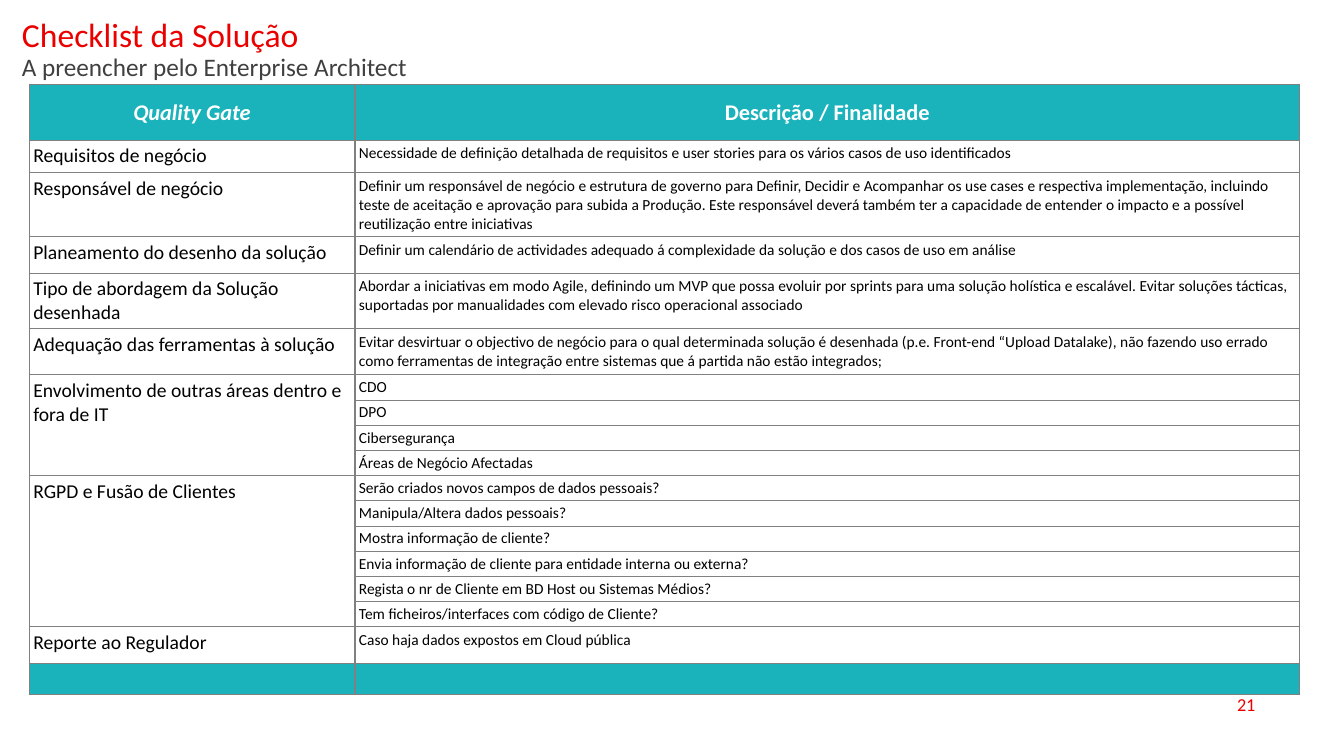
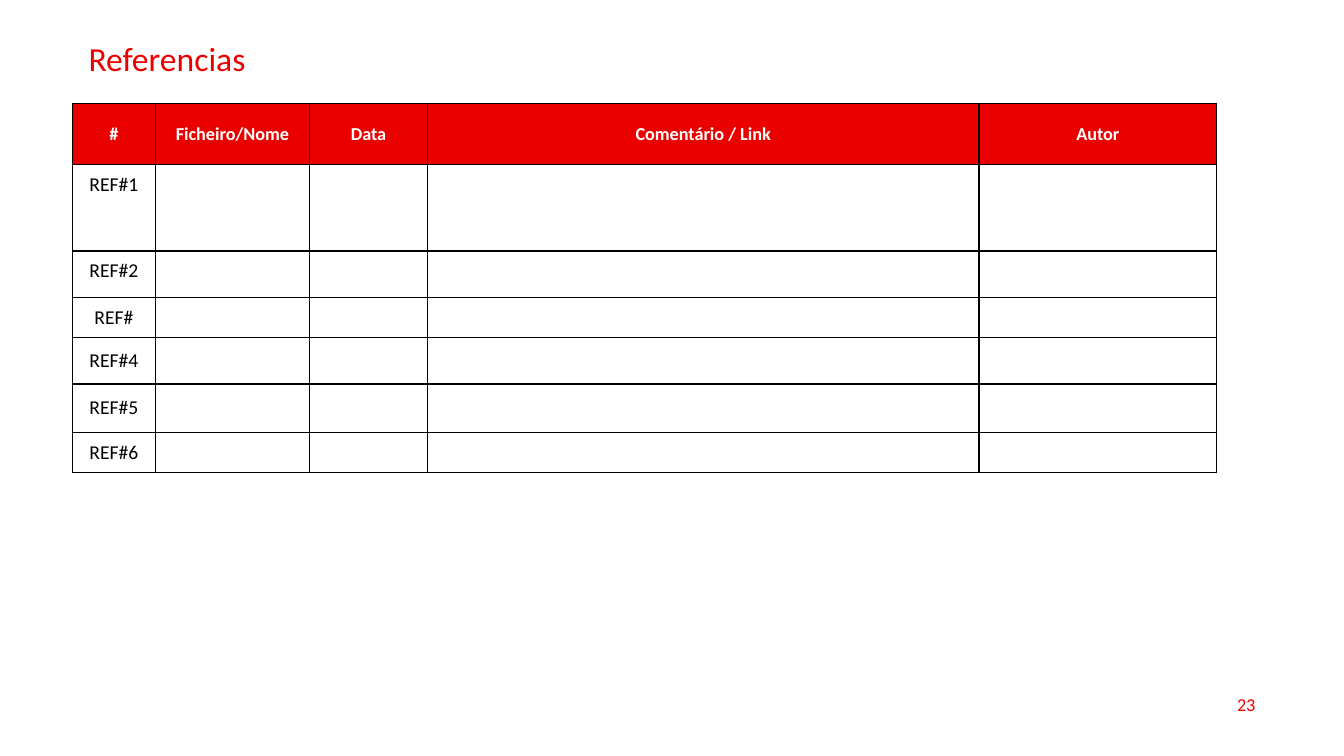
from lxml.etree import SubElement
from pptx import Presentation
from pptx.dml.color import RGBColor
from pptx.enum.text import MSO_ANCHOR as Anchor, PP_ALIGN as Align
from pptx.oxml.ns import qn
from pptx.util import Inches, Pt

FONT = "Calibri"
RED, TEAL, GREY = "EB0000", "1AB2BB", "808080"
DARK, BLACK, WHITE = "404040", "000000", "FFFFFF"

# Each gate: name, descriptions, height of each description row
GATES = [
    ("Requisitos de negócio",
     ["Necessidade de definição detalhada de requisitos e user stories para os "
      "vários casos de uso identificados"], 0.32),
    ("Responsável de negócio",
     ["Definir um responsável de negócio e estrutura de governo para Definir, "
      "Decidir e Acompanhar os use cases e respectiva implementação, incluindo "
      "teste de aceitação e aprovação para subida a Produção. Este responsável "
      "deverá também ter a capacidade de entender o impacto e a possível "
      "reutilização entre iniciativas"], 0.64),
    ("Planeamento do desenho da solução",
     ["Definir um calendário de actividades adequado á complexidade da solução "
      "e dos casos de uso em análise"], 0.36),
    ("Tipo de abordagem da Solução desenhada",
     ["Abordar a iniciativas em modo Agile, definindo um MVP que possa evoluir "
      "por sprints para uma solução holística e escalável. Evitar soluções "
      "tácticas, suportadas por manualidades com elevado risco operacional "
      "associado"], 0.55),
    ("Adequação das ferramentas à solução",
     ["Evitar desvirtuar o objectivo de negócio para o qual determinada solução "
      "é desenhada (p.e. Front-end “Upload Datalake), não fazendo uso errado "
      "como ferramentas de integração entre sistemas que á partida não estão "
      "integrados;"], 0.46),
    ("Envolvimento de outras áreas dentro e fora de IT",
     ["CDO", "DPO", "Cibersegurança", "Áreas de Negócio Afectadas"], 0.25),
    ("RGPD e Fusão de Clientes",
     ["Serão criados novos campos de dados pessoais?",
      "Manipula/Altera dados pessoais?",
      "Mostra informação de cliente?",
      "Envia informação de cliente para entidade interna ou externa?",
      "Regista o nr de Cliente em BD Host ou Sistemas Médios?",
      "Tem ficheiros/interfaces com código de Cliente?"], 0.25),
    ("Reporte ao Regulador", ["Caso haja dados expostos em Cloud pública"], 0.36),
]
REFERENCE_HEADS = ["#", "Ficheiro/Nome", "Data", "Comentário / Link", "Autor"]
# Each reference: label, row height, anchor
REFERENCES = [
    ("REF#1", 0.86, Anchor.TOP),
    ("REF#2", 0.46, Anchor.TOP),
    ("REF#", 0.4, Anchor.TOP),
    ("REF#4", 0.46, Anchor.MIDDLE),
    ("REF#5", 0.48, Anchor.MIDDLE),
    ("REF#6", 0.4, Anchor.MIDDLE),
]


def rgb(color):
    return RGBColor.from_string(color)


def style_para(para, size, color, align=Align.LEFT, spacing=1.0, bold=False, italic=False):
    para.alignment = align
    para.line_spacing = spacing
    for span in para.runs:
        font = span.font
        font.name, font.size, font.bold, font.italic = FONT, Pt(size), bold, italic
        font.color.rgb = rgb(color)


def add_box(page, left, top, width, height, text):
    box = page.shapes.add_textbox(*map(Inches, (left, top, width, height)))
    box.text_frame.word_wrap = True
    box.text_frame.text = text
    return box.text_frame


def add_title(page, left, top, title, subtitle=None):
    lines = [title, subtitle] if subtitle else [title]
    frame = add_box(page, left, top, 11.77, 0.3 * len(lines), "\n".join(lines))
    for para, (size, color) in zip(frame.paragraphs, [(24, RED), (18, DARK)]):
        style_para(para, size, color, spacing=0.9)


def add_page_number(page, number):
    frame = add_box(page, 9.55, 6.79, 3, 0.4, str(number))
    frame.vertical_anchor = Anchor.MIDDLE
    style_para(frame.paragraphs[0], 13, RED, Align.RIGHT)


def add_grid(page, left, top, widths, heights, line_color, inset):
    """Add a plain table whose cells all have the same border and inset."""
    frame = page.shapes.add_table(
        len(heights), len(widths),
        *map(Inches, (left, top, sum(widths), sum(heights))))
    table = frame.table
    table.first_row = table.horz_banding = False
    for column, width in zip(table.columns, widths):
        column.width = Inches(width)
    for row, height in zip(table.rows, heights):
        row.height = Inches(height)
    for cell in table.iter_cells():
        cell.margin_left = cell.margin_right = Inches(inset)
        cell.margin_top = cell.margin_bottom = Inches(inset)
        add_borders(cell, line_color)
        cell.fill.background()
        # Small end mark, so that empty cells do not stretch their row
        end_mark = cell.text_frame.paragraphs[0]._p.get_or_add_endParaRPr()
        end_mark.set("sz", "1100")
    return table


def add_borders(cell, color):
    properties = cell._tc.get_or_add_tcPr()
    for side in ("a:lnL", "a:lnR", "a:lnT", "a:lnB"):
        line = SubElement(properties, qn(side), w=str(Pt(1)))
        fill = SubElement(line, qn("a:solidFill"))
        SubElement(fill, qn("a:srgbClr"), val=color)


def paint(cell, color):
    cell.fill.solid()
    cell.fill.fore_color.rgb = rgb(color)


def write(cell, text, size, color=BLACK, anchor=Anchor.TOP, **style):
    cell.vertical_anchor = anchor
    para = cell.text_frame.paragraphs[0]
    para.text = text
    style_para(para, size, color, **style)


def write_head(cell, text, size, fill, italic=False):
    paint(cell, fill)
    write(cell, text, size, WHITE, Anchor.MIDDLE,
          align=Align.CENTER, bold=True, italic=italic)


def add_checklist(page):
    heights = [0.55]
    for _, descriptions, height in GATES:
        heights += [height] * len(descriptions)
    heights.append(0.31)
    table = add_grid(page, 0.29, 0.84, [3.23, 9.37], heights, GREY, 0.04)
    write_head(table.cell(0, 0), "Quality Gate", 16, TEAL, italic=True)
    write_head(table.cell(0, 1), "Descrição / Finalidade", 16, TEAL)
    row = 1
    for gate, descriptions, _ in GATES:
        count = len(descriptions)
        if count > 1:
            table.cell(row, 0).merge(table.cell(row + count - 1, 0))
        write(table.cell(row, 0), gate, 14)
        for offset, description in enumerate(descriptions):
            write(table.cell(row + offset, 1), description, 11,
                  spacing=0.9 if count > 1 else 1.0)
        row += count
    for column in range(2):
        paint(table.cell(row, column), TEAL)


def add_references(page):
    heights = [0.6] + [height for _, height, _ in REFERENCES]
    table = add_grid(page, 0.72, 1.03, [0.82, 1.53, 1.17, 5.47, 2.36],
                     heights, BLACK, 0.08)
    for column, head in enumerate(REFERENCE_HEADS):
        write_head(table.cell(0, column), head, 13, RED)
    for row, (label, _, anchor) in enumerate(REFERENCES, start=1):
        write(table.cell(row, 0), label, 14, anchor=anchor, align=Align.CENTER)


def main():
    deck = Presentation()
    deck.slide_width, deck.slide_height = Inches(13.33), Inches(7.5)
    blank = deck.slide_layouts[6]

    page = deck.slides.add_slide(blank)
    add_title(page, 0.12, 0.13, "Checklist da Solução",
              "A preencher pelo Enterprise Architect")
    add_checklist(page)
    add_page_number(page, 21)

    page = deck.slides.add_slide(blank)
    add_title(page, 0.78, 0.37, "Referencias")
    add_references(page)
    add_page_number(page, 23)

    deck.save("out.pptx")


if __name__ == "__main__":
    main()
